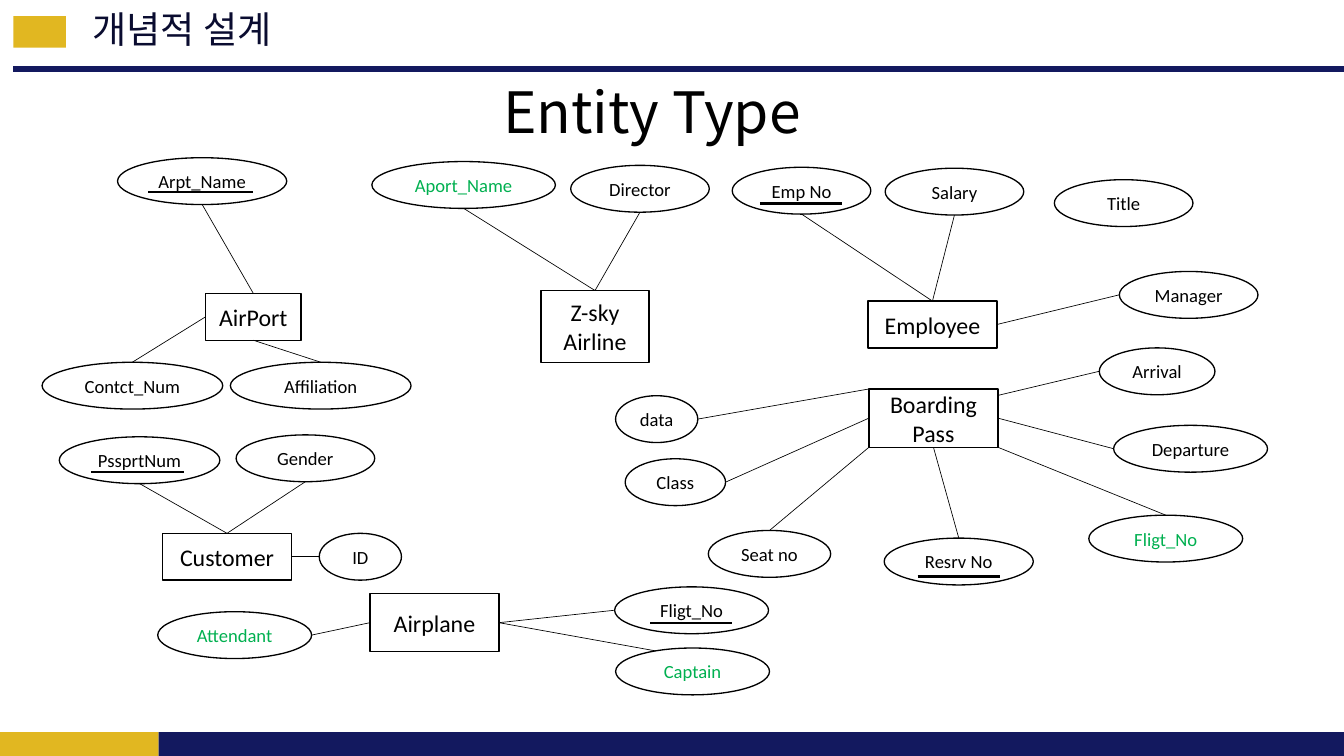
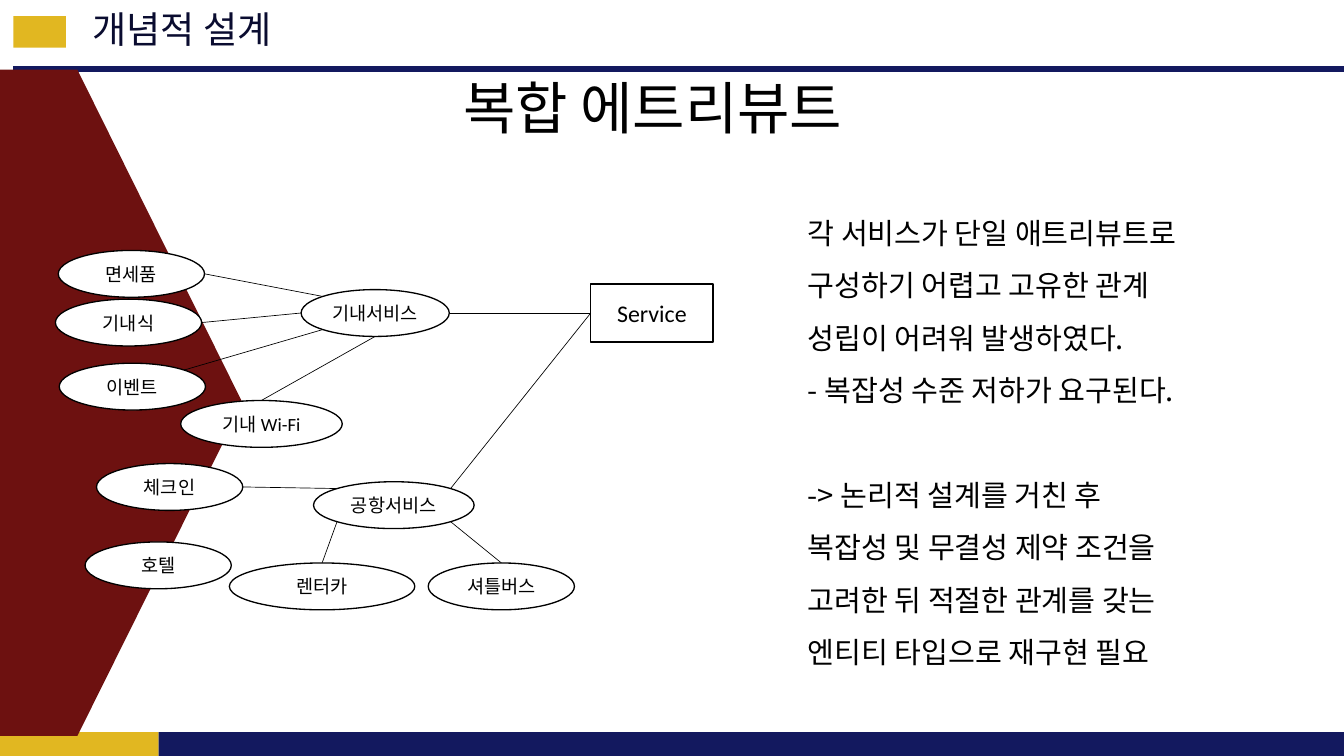
from lxml.etree import SubElement
from pptx import Presentation
from pptx.dml.color import RGBColor
from pptx.enum.shapes import MSO_CONNECTOR, MSO_SHAPE
from pptx.enum.text import MSO_ANCHOR, MSO_AUTO_SIZE, PP_ALIGN
from pptx.oxml.ns import qn
from pptx.util import Inches, Pt

NAVY = RGBColor(0x13, 0x19, 0x5F)
GOLD = RGBColor(0xE1, 0xB7, 0x21)
INK = RGBColor(0x0A, 0x0C, 0x30)
WINE = RGBColor(0x6D, 0x11, 0x10)
GREEN = RGBColor(0x00, 0xB0, 0x50)
BLACK = RGBColor(0, 0, 0)
WHITE = RGBColor(255, 255, 255)
SANS, LABEL = "Noto Sans CJK KR", "Calibri"

HEAD = "개념적 설계"
BANDS = [
    ((0, 7.66, 1.66, 0.25), GOLD),
    ((1.66, 7.66, 12.43, 0.25), NAVY),
    ((0.14, 0.17, 0.55, 0.33), GOLD),
]

# Entity: text, left, top, width, height, attributes
# Attribute: text, left, top, width, link (site on owner, site on itself), sub-attributes
ENTITIES = [
    ("AirPort", 2.15, 3.07, 1, 0.49, [
        ("Arpt_Name", 1.23, 1.65, 1.77, "t-b"),
        ("Contct_Num", 0.44, 3.79, 1.89, "l-t"),
        ("Affiliation", 2.41, 3.79, 1.89, "b-t")]),
    ("Z-sky Airline", 5.66, 3.04, 1.13, 0.75, [
        ("Aport_Name", 3.89, 1.69, 1.92, "t-b"),
        ("Director", 5.97, 1.73, 1.45, "t-b")]),
    ("Employee", 9.08, 3.15, 1.35, 0.49, [
        ("Emp No", 7.66, 1.75, 1.45, "t-b"),
        ("Salary", 9.26, 1.76, 1.45, "t-b"),
        ("Title", 11.03, 1.88, 1.45, None),
        ("Manager", 11.71, 2.84, 1.45, "r-l")]),
    ("Boarding Pass", 9.09, 4.07, 1.35, 0.61, [
        ("Arrival", 11.5, 3.64, 1.21, "u-l"),
        ("Departure", 11.65, 4.45, 1.61, "r-l"),
        ("Fligt_No", 11.39, 5.39, 1.61, "br-t", GREEN),
        ("Resrv No", 9.25, 5.63, 1.56, "b-t"),
        ("Seat no", 7.41, 5.55, 1.28, "bl-t"),
        ("Class", 6.54, 4.8, 1.05, "l-r"),
        ("data", 6.44, 4.14, 0.86, "tl-r")]),
    ("Customer", 1.7, 5.58, 1.35, 0.49, [
        ("PssprtNum", 0.62, 4.57, 1.68, "t-b"),
        ("Gender", 2.47, 4.55, 1.45, "t-b"),
        ("ID", 3.34, 5.58, 0.86, "r-l")]),
    ("Airplane", 3.87, 6.21, 1.35, 0.61, [
        ("Fligt_No", 6.43, 6.14, 1.61, "r-l"),
        ("Captain", 6.44, 6.78, 1.61, "r-r"),
        ("Attendant", 1.65, 6.4, 1.61, "l-r")]),
]
FOREIGN = {"Aport_Name", "Captain", "Attendant"}
# Underline of a key: left, top, length
KEYS = [(1.55, 2.01, 1.1), (7.95, 2.13, 0.86), (9.6, 6.03, 0.86),
        (0.95, 4.94, 0.98), (6.8, 6.52, 0.86)]

SERVICE = [
    ("Service", 6.18, 2.97, 1.28, 0.61, [
        ("기내서비스", 3.15, 3.03, 1.55, "l-r", BLACK, [
            ("면세품", 0.61, 2.62, 1.53, "tl-r"),
            ("기내식", 0.58, 3.13, 1.53, "l-r"),
            ("이벤트", 0.62, 3.8, 1.53, "bl-tr"),
            ("기내 Wi-Fi", 1.89, 4.19, 1.69, "b-t")]),
        ("공항서비스", 3.28, 5.04, 1.68, "l-tr", BLACK, [
            ("체크인", 1.01, 4.85, 1.53, "tl-r"),
            ("호텔", 0.89, 5.67, 1.53, None),
            ("렌터카", 2.4, 5.89, 1.94, "bl-t"),
            ("셔틀버스", 4.48, 5.89, 1.53, "br-t")])]),
]
NOTES = [
    "각 서비스가 단일 애트리뷰트로 구성하기 어렵고 고유한 관계 성립이 어려워 발생하였다.",
    "- 복잡성 수준 저하가 요구된다.",
    "-> 논리적 설계를 거친 후",
    "복잡성 및 무결성 제약 조건을",
    "고려한 뒤 적절한 관계를 갖는",
    "엔티티 타입으로 재구현 필요",
]
WEDGE = [(0, 0.73), (0.81, 0.73), (2.54, 4.22), (0.81, 7.7), (0, 7.7)]

OVAL_H = 0.49
PITCH = Pt(39.5)
SITES = {"t": (0.5, 0), "b": (0.5, 1), "l": (0, 0.5), "r": (1, 0.5),
         "tl": (0, 0), "tr": (1, 0), "bl": (0, 1), "br": (1, 1), "u": (1, 0.11)}


def put(item, **vals):
    """Set several attributes of one object."""
    for name, val in vals.items():
        setattr(item, name, val)


def place(item, box):
    """Move and size an object, in inches."""
    names = ("left", "top", "width", "height")
    put(item, **{n: Inches(v) for n, v in zip(names, box)})


def write(para, text, size, color, face, **form):
    """Fill a paragraph with one formatted run."""
    run = para.add_run()
    run.text = text
    put(run.font, size=Pt(size), name=face)
    run.font.color.rgb = color
    props = run.font._element
    SubElement(props, qn("a:ea")).set("typeface", SANS)
    put(para, **form)


def paint(shape, fill, edge=None):
    """Give a shape a flat fill and an optional outline."""
    shape.shadow.inherit = False
    shape.fill.solid()
    shape.fill.fore_color.rgb = fill
    if edge is None:
        shape.line.fill.background()
    else:
        shape.line.color.rgb = edge
        shape.line.width = Pt(1)


def rule(slide, start, end, width, color=BLACK):
    """Draw a straight line between two points."""
    ends = [Inches(v) for v in (*start, *end)]
    line = slide.shapes.add_connector(MSO_CONNECTOR.STRAIGHT, *ends)
    line.line.color.rgb = color
    line.line.width = Pt(width)
    SubElement(line.element.spPr, qn("a:effectLst"))
    return line


def site(box, key, oval):
    """Find a named point on the edge of a box or oval."""
    ratio = 0.5 ** 0.5 if oval and len(key) == 2 else 1
    left, top, wide, high = box
    across, down = (0.5 + (v - 0.5) * ratio for v in SITES[key])
    return left + wide * across, top + high * down


def node(slide, kind, box, text, size, color):
    """Draw one labelled entity or attribute."""
    shape = slide.shapes.add_shape(kind, *(Inches(v) for v in box))
    paint(shape, WHITE, BLACK)
    frame = shape.text_frame
    put(frame, word_wrap=True, vertical_anchor=MSO_ANCHOR.MIDDLE,
        margin_left=Inches(0.05), margin_right=Inches(0.05))
    write(frame.paragraphs[0], text, size, color, LABEL,
          alignment=PP_ALIGN.CENTER)


def attach(slide, owner, oval, items):
    """Draw attributes, their links and their sub-attributes."""
    for text, left, top, wide, link, *more in items:
        box = (left, top, wide, OVAL_H)
        if link:
            near, far = link.split("-")
            rule(slide, site(owner, near, oval), site(box, far, True), 0.5)
        color = GREEN if text in FOREIGN else BLACK
        if more:
            color = more[0]
        node(slide, MSO_SHAPE.OVAL, box, text, 14, color)
        if len(more) > 1:
            attach(slide, box, True, more[1])


def chart(slide, items):
    """Draw entities with all their attributes."""
    for text, *box, attrs in items:
        node(slide, MSO_SHAPE.RECTANGLE, box, text, 18, BLACK)
        attach(slide, box, False, attrs)


def start(deck, layout, title, left, top):
    """Add a slide with its header and title."""
    slide = deck.slides.add_slide(deck.slide_layouts[layout])
    head = slide.shapes.add_textbox(0, 0, 0, 0)
    place(head, (0.87, 0.07, 4.26, 0.48))
    put(head.text_frame, word_wrap=True, margin_top=0)
    write(head.text_frame.paragraphs[0], HEAD, 28, INK, SANS)
    place(slide.shapes.title, (left, top, 11.12, 1.29))
    frame = slide.shapes.title.text_frame
    put(frame, auto_size=MSO_AUTO_SIZE.NONE, word_wrap=True,
        vertical_anchor=MSO_ANCHOR.TOP, margin_top=0)
    write(frame.paragraphs[0], title, 42.9, BLACK, SANS,
          alignment=PP_ALIGN.CENTER, line_spacing=0.9)
    return slide


def brand(deck, slide):
    """Draw the shared bands and move them to the master."""
    parts = [rule(slide, (0.14, 0.72), (14.23, 0.72), 4.5, NAVY)]
    for box, color in BANDS:
        band = slide.shapes.add_shape(
            MSO_SHAPE.RECTANGLE, *(Inches(v) for v in box))
        paint(band, color)
        parts.append(band)
    tree = deck.slide_master.shapes.element
    for pos, part in enumerate(parts):
        part.element.xpath(".//p:cNvPr")[0].set("id", str(20 + pos))
        tree.insert(2 + pos, part.element)


def wedge(slide):
    """Draw the dark outline at the left edge."""
    first, *rest = [tuple(Inches(v) for v in spot) for spot in WEDGE]
    path = slide.shapes.build_freeform(*first)
    path.add_line_segments(rest, close=True)
    paint(path.convert_to_shape(), WINE)


def notes(slide):
    """Fill the body with plain lines of text."""
    body = slide.placeholders[1]
    place(body, (8.35, 2.02, 4.35, 5.05))
    frame = body.text_frame
    put(frame, auto_size=MSO_AUTO_SIZE.NONE, word_wrap=True,
        vertical_anchor=MSO_ANCHOR.TOP)
    for pos, text in enumerate(NOTES):
        para = frame.add_paragraph() if pos else frame.paragraphs[0]
        gap = PITCH if text.startswith("->") else Pt(0)
        write(para, text, 22, BLACK, SANS, alignment=PP_ALIGN.LEFT,
              line_spacing=PITCH, space_before=gap)
        props = para._p.get_or_add_pPr()
        props.set("marL", "0")
        props.set("indent", "0")
        SubElement(props, qn("a:buNone"))


def main():
    """Build and save the deck."""
    deck = Presentation()
    put(deck, slide_width=Inches(14.06), slide_height=Inches(7.91))
    types = start(deck, 5, "Entity Type", 1.26, 0.88)
    brand(deck, types)
    chart(types, ENTITIES)
    for left, top, size in KEYS:
        rule(types, (left, top), (left + size, top), 2)
    mixed = start(deck, 1, "복합 에트리뷰트", 1.27, 0.84)
    wedge(mixed)
    chart(mixed, SERVICE)
    notes(mixed)
    deck.save("out.pptx")


main()
